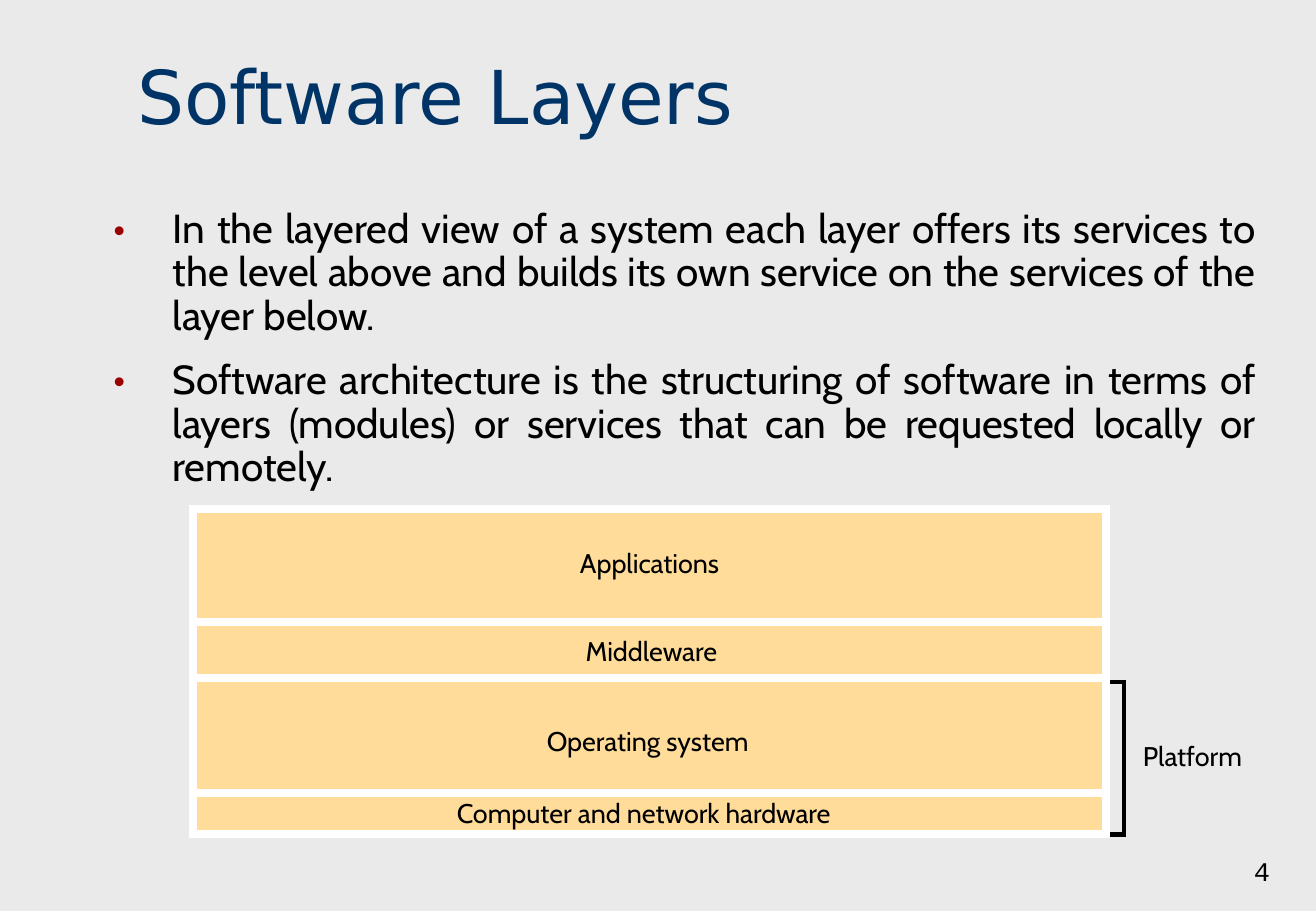
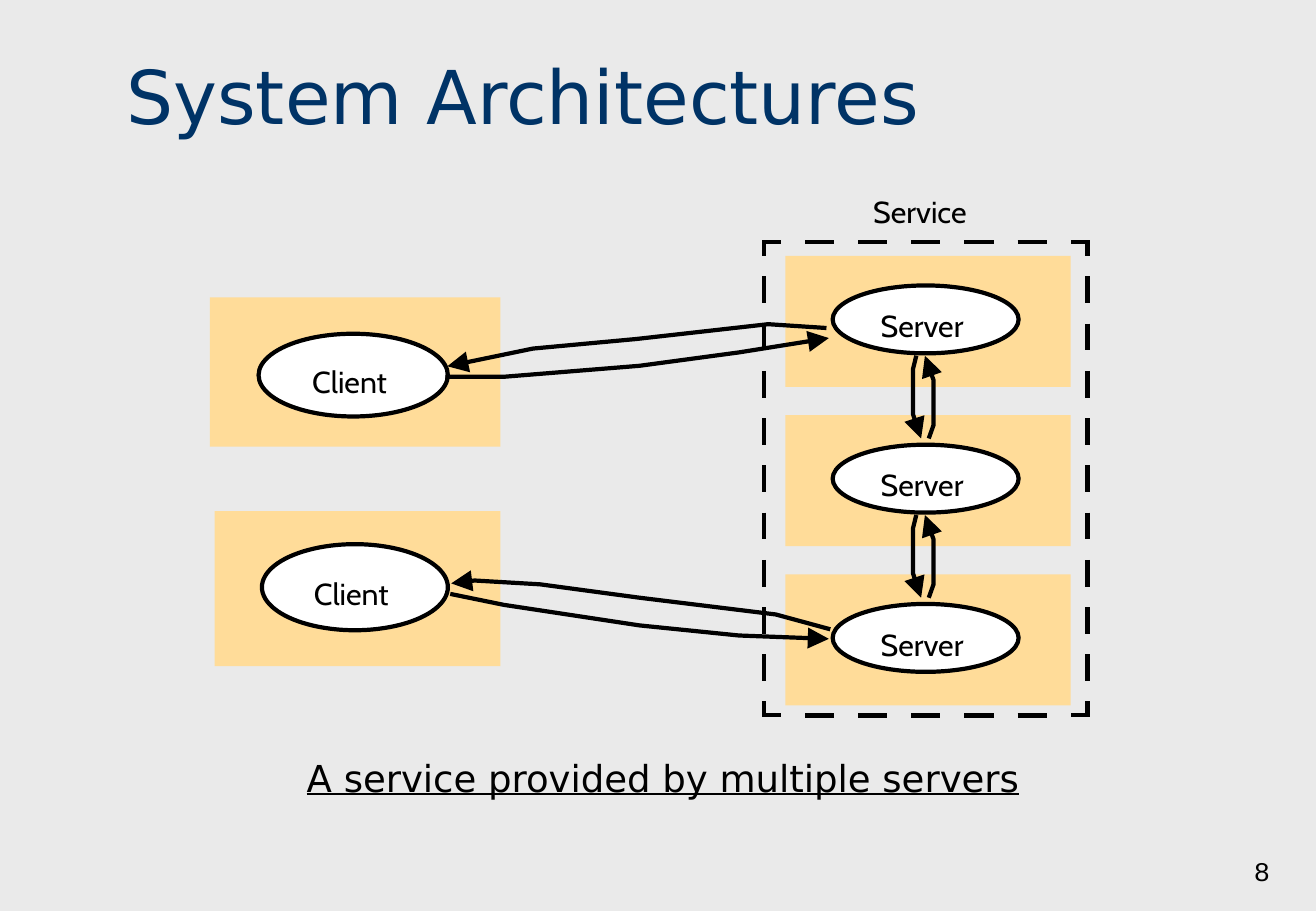
from dataclasses import dataclass

from lxml.etree import SubElement
from pptx import Presentation
from pptx.dml.color import RGBColor
from pptx.enum.shapes import MSO_CONNECTOR, MSO_SHAPE
from pptx.enum.text import MSO_ANCHOR, MSO_AUTO_SIZE, PP_ALIGN
from pptx.oxml.ns import qn
from pptx.util import Cm, Pt


@dataclass(frozen=True)
class Theme:
    background: str = "EAEAEA"
    title: str = "003366"
    text: str = "000000"
    bullet: str = "9A0000"
    panel: str = "FFDC99"
    white: str = "FFFFFF"
    heading_font: str = "DejaVu Sans"
    body_font: str = "Cabin"
    number_font: str = "Courier New"
    title_size: float = 44
    body_size: float = 24
    caption_size: float = 22
    node_size: float = 18
    label_size: float = 16
    stroke: float = 2.5
    layer_gap: float = 4.62


@dataclass(frozen=True)
class Box:
    """A rectangle in centimetres."""
    left: float
    top: float
    width: float
    height: float

    @property
    def lengths(self):
        return Cm(self.left), Cm(self.top), Cm(self.width), Cm(self.height)

    def inner(self, left, top, width, height):
        """A box whose place is counted from this one's corner."""
        return Box(self.left + left, self.top + top, width, height)


THEME = Theme()
PAGE = Box(0, 0, 27.53, 19.05)
PAGE_NUMBER = Box(21.08, 17.4, 5.74, 1.27)

BULLETS = [
    "In the layered view of a system each layer offers its services to the level above "
    "and builds its own service on the services of the layer below.",
    "Software architecture is the structuring of software in terms of layers (modules) "
    "or services that can be requested locally or remotely.",
]
# Name, height, and the label's shift from the layer's centre
LAYERS = [
    ("Applications", 2.36, (0, -0.06)),
    ("Middleware", 1.18, (0.04, 0.02)),
    ("Operating system", 2.4, (-0.04, 0.1)),
    ("Computer and network hardware", 0.87, (-0.12, -0.02)),
]

SERVER_COUNT = 3
SERVER_PITCH = 3.33
SERVER_HOST = (12.04, 1.31, 5.97, 2.74)
SERVER_OVAL = (0.99, 0.62, 3.89, 1.42)
CLIENTS = [
    ((0, 2.18, 6.08, 3.12), (1.02, 0.76, 3.96, 1.73)),
    ((0.1, 6.65, 5.98, 3.24), (0.99, 0.69, 3.89, 1.8)),
]
CLIENT_ARROWS = [
    [(4.93, 3.84), (6.15, 3.84), (8.99, 3.61), (11.07, 3.33), (12.95, 3.03)],
    [(12.9, 2.82), (11.68, 2.74), (8.92, 3.05), (6.76, 3.25), (4.97, 3.62)],
    [(5.03, 8.38), (6.15, 8.61), (8.99, 9.04), (11.07, 9.25), (12.95, 9.32)],
    [(12.98, 9.12), (11.84, 8.81), (8.99, 8.46), (6.91, 8.18), (5.54, 8.1), (5.05, 8.16)],
]
SERVER_ARROWS = [
    [(14.78, 3.4), (14.71, 3.68), (14.71, 4.62), (14.88, 5.13)],
    [(15.04, 5.13), (15.14, 4.85), (15.14, 3.91), (14.96, 3.4)],
]


def color(value):
    return RGBColor.from_string(value)


def style_paragraph(paragraph, size, font=THEME.body_font, ink=THEME.text,
                    align=PP_ALIGN.CENTER):
    paragraph.alignment = align
    paragraph.font.size = Pt(size)
    paragraph.font.name = font
    paragraph.font.color.rgb = color(ink)


def add_to_line(shape, tag, **attributes):
    SubElement(shape.element.spPr.find(qn("a:ln")), qn(tag), attributes)


def style_shape(shape, fill=None, line=None, width=THEME.stroke):
    shape.shadow.inherit = False
    if fill:
        shape.fill.solid()
        shape.fill.fore_color.rgb = color(fill)
    else:
        shape.fill.background()
    if line:
        shape.line.color.rgb = color(line)
        shape.line.width = Pt(width)
        add_to_line(shape, "a:miter", lim="800000")
    else:
        shape.line.fill.background()


def add_box_shape(slide, kind, box, **style):
    shape = slide.shapes.add_shape(kind, *box.lengths)
    style_shape(shape, **style)
    return shape


def add_polyline(slide, points):
    start, *rest = [(Cm(x), Cm(y)) for x, y in points]
    builder = slide.shapes.build_freeform(*start)
    builder.add_line_segments(rest, close=False)
    polyline = builder.convert_to_shape()
    style_shape(polyline, line=THEME.text)
    return polyline


def add_line(slide, start_x, start_y, end_x, end_y):
    line = slide.shapes.add_connector(MSO_CONNECTOR.STRAIGHT, Cm(start_x), Cm(start_y),
                                      Cm(end_x), Cm(end_y))
    line.line.color.rgb = color(THEME.text)
    line.line.width = Pt(THEME.stroke)
    SubElement(line._element.spPr, qn("a:effectLst"))


def fill_label(shape, text, size):
    """Write one centred, unwrapped line without insets."""
    frame = shape.text_frame
    frame.word_wrap = False
    frame.vertical_anchor = MSO_ANCHOR.MIDDLE
    frame.margin_left = frame.margin_right = frame.margin_top = frame.margin_bottom = 0
    frame.text = text
    style_paragraph(frame.paragraphs[0], size)
    return frame


def add_label(slide, box, text, size):
    fill_label(slide.shapes.add_textbox(*box.lengths), text, size)


def add_text_line(slide, box, text, size, font, align, anchor=MSO_ANCHOR.TOP):
    frame = slide.shapes.add_textbox(*box.lengths).text_frame
    frame.word_wrap = True
    frame.vertical_anchor = anchor
    frame.text = text
    paragraph = frame.paragraphs[0]
    style_paragraph(paragraph, size, font, align=align)
    return paragraph


def add_titled_slide(presentation, title, title_left, number):
    slide = presentation.slides.add_slide(presentation.slide_layouts[5])
    shape = slide.shapes.title
    box = Box(title_left, 0.93, 24.56, 2.11)
    shape.left, shape.top, shape.width, shape.height = box.lengths
    frame = shape.text_frame
    frame.text = title
    frame.auto_size = MSO_AUTO_SIZE.NONE
    frame.vertical_anchor = MSO_ANCHOR.BOTTOM
    style_paragraph(frame.paragraphs[0], THEME.title_size, THEME.heading_font,
                    THEME.title, PP_ALIGN.LEFT)
    add_text_line(slide, PAGE_NUMBER, str(number), THEME.label_size,
                  THEME.number_font, PP_ALIGN.RIGHT, MSO_ANCHOR.BOTTOM)
    return slide


def add_bullets(slide, box, texts):
    frame = slide.shapes.add_textbox(*box.lengths).text_frame
    frame.word_wrap = True
    for index, text in enumerate(texts):
        paragraph = frame.add_paragraph() if index else frame.paragraphs[0]
        paragraph.text = text
        paragraph.line_spacing = 0.9
        paragraph.space_before = Pt(12)
        properties = paragraph._p.get_or_add_pPr()
        indent = Cm(1.24)
        properties.set("marL", str(indent))
        properties.set("indent", str(-indent))
        bullet_color = SubElement(properties, qn("a:buClr"))
        SubElement(bullet_color, qn("a:srgbClr"), val=THEME.bullet)
        SubElement(properties, qn("a:buFont"), typeface=THEME.body_font)
        SubElement(properties, qn("a:buChar"), char="•")
        style_paragraph(paragraph, THEME.body_size, align=PP_ALIGN.JUSTIFY)


def add_layer_stack(slide, box, layers):
    """Stack the layers from the top; a bracket joins the last two."""
    platform_height = sum(height for _, height, _ in layers[-2:])
    platform_top = sum(height for _, height, _ in layers[:-2])
    bracket_box = box.inner(box.width, platform_top + 0.08, 0.38, platform_height - 0.08)
    bracket = add_box_shape(slide, MSO_SHAPE.RIGHT_BRACKET, bracket_box, line=THEME.text)
    bracket.adjustments[0] = 0
    add_label(slide, bracket_box.inner(0.65, 0, 2.31, bracket_box.height - 0.1),
              "Platform", THEME.label_size)
    top = 0
    for name, height, (shift_x, shift_y) in layers:
        layer = box.inner(0, top, box.width, height)
        add_box_shape(slide, MSO_SHAPE.RECTANGLE, layer, fill=THEME.panel,
                      line=THEME.white, width=THEME.layer_gap)
        add_label(slide, layer.inner(shift_x, shift_y, layer.width, height),
                  name, THEME.label_size)
        top += height


def add_node(slide, host, oval, name):
    """Draw a host panel with a named process inside it."""
    add_box_shape(slide, MSO_SHAPE.RECTANGLE, host, fill=THEME.panel)
    process = add_box_shape(slide, MSO_SHAPE.OVAL, host.inner(*oval),
                            fill=THEME.white, line=THEME.text)
    frame = fill_label(process, name, THEME.node_size)
    frame.margin_top = Cm(0.25)
    frame.margin_right = Cm(0.15)


def add_arrow(slide, box, points, drop=0):
    """Draw a bent arrow through points counted from the box corner."""
    arrow = add_polyline(slide, [(box.left + x, box.top + y + drop) for x, y in points])
    add_to_line(arrow, "a:tailEnd", type="triangle", w="lg", len="lg")


def dash_spans(start, length, arm, dash, count):
    """Spread dashes with equal gaps between the two corner arms of a side."""
    gap = (length - 2 * arm - count * dash) / (count + 1)
    for index in range(count):
        first = start + arm + gap + index * (dash + gap)
        yield first, first + dash


def add_service_frame(slide, box):
    """Draw a dashed frame with closed corners."""
    arm_x, arm_y = 0.35, 0.29
    right, bottom = box.left + box.width, box.top + box.height
    for x, inward_x in ((box.left, arm_x), (right, -arm_x)):
        for y, inward_y in ((box.top, arm_y), (bottom, -arm_y)):
            add_polyline(slide, [(x, y + inward_y), (x, y), (x + inward_x, y)])
    for first, last in dash_spans(box.left, box.width, arm_x, 0.61, 5):
        for y in (box.top, bottom):
            add_line(slide, first, y, last, y)
    for first, last in dash_spans(box.top, box.height, arm_y, 0.56, 9):
        for x in (box.left, right):
            add_line(slide, x, first, x, last)


def add_service_diagram(slide, box):
    add_label(slide, box.inner(13.8, 0, 2.11, 0.76), "Service", THEME.node_size)
    servers = box.inner(*SERVER_HOST)
    for index in range(SERVER_COUNT):
        host = servers.inner(0, index * SERVER_PITCH, servers.width, servers.height)
        add_node(slide, host, SERVER_OVAL, "Server")
    add_service_frame(slide, box.inner(11.6, 1.02, 6.76, 9.9))
    for host, oval in CLIENTS:
        add_node(slide, box.inner(*host), oval, "Client")
    for index in range(SERVER_COUNT - 1):
        for points in SERVER_ARROWS:
            add_arrow(slide, box, points, index * SERVER_PITCH)
    for points in CLIENT_ARROWS:
        add_arrow(slide, box, points)


def build_layers_slide(presentation):
    slide = add_titled_slide(presentation, "Software Layers", 2.62, 4)
    add_bullets(slide, Box(2.12, 4.23, 24.41, 6.35), BULLETS)
    add_layer_stack(slide, Box(4.04, 10.64, 19.1, 6.81), LAYERS)


def build_architecture_slide(presentation):
    slide = add_titled_slide(presentation, "System Architectures", 2.39, 8)
    add_service_diagram(slide, Box(4.39, 4.04, 18.36, 10.92))
    caption = add_text_line(slide, Box(5.93, 15.67, 15.88, 1.19),
                            "A service provided by multiple servers",
                            THEME.caption_size, THEME.heading_font, PP_ALIGN.CENTER)
    caption.font.underline = True


def main():
    presentation = Presentation()
    presentation.slide_width, presentation.slide_height = PAGE.lengths[2:]
    background = presentation.slide_master.background.fill
    background.solid()
    background.fore_color.rgb = color(THEME.background)
    build_layers_slide(presentation)
    build_architecture_slide(presentation)
    presentation.save("out.pptx")


if __name__ == "__main__":
    main()
